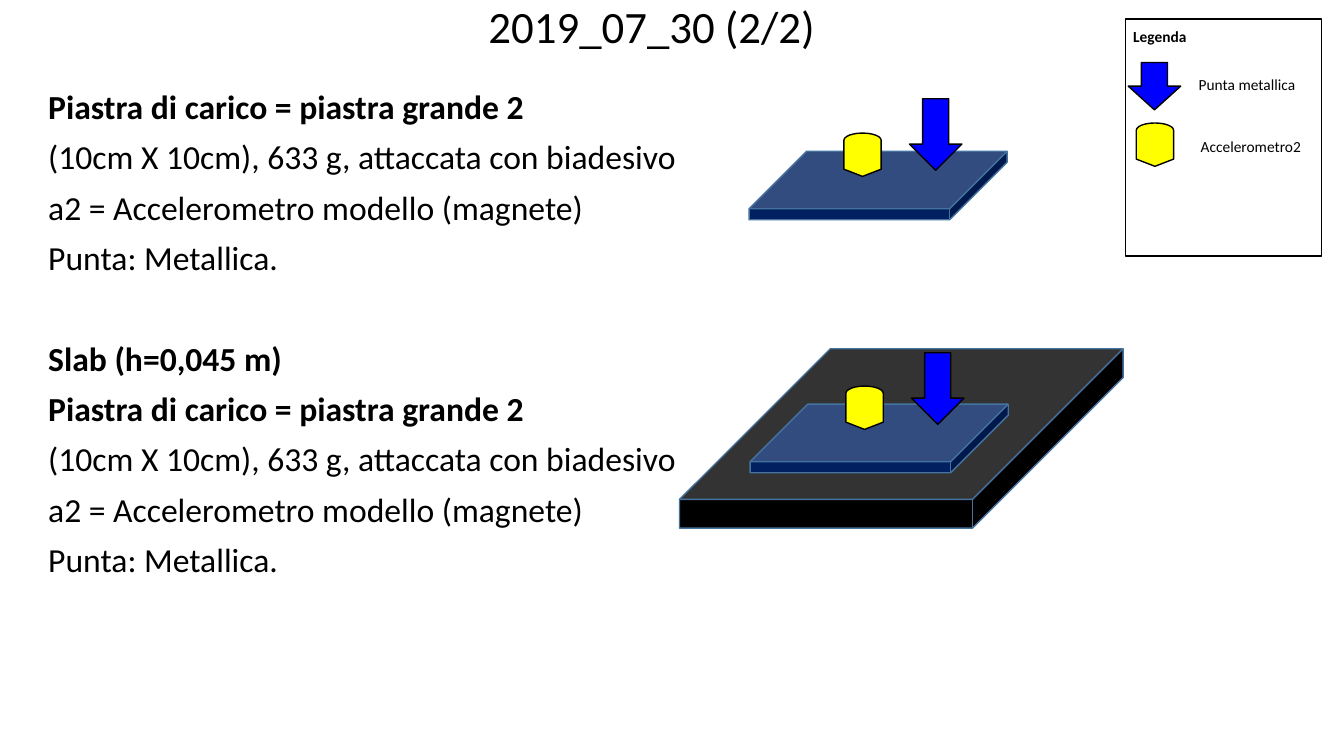
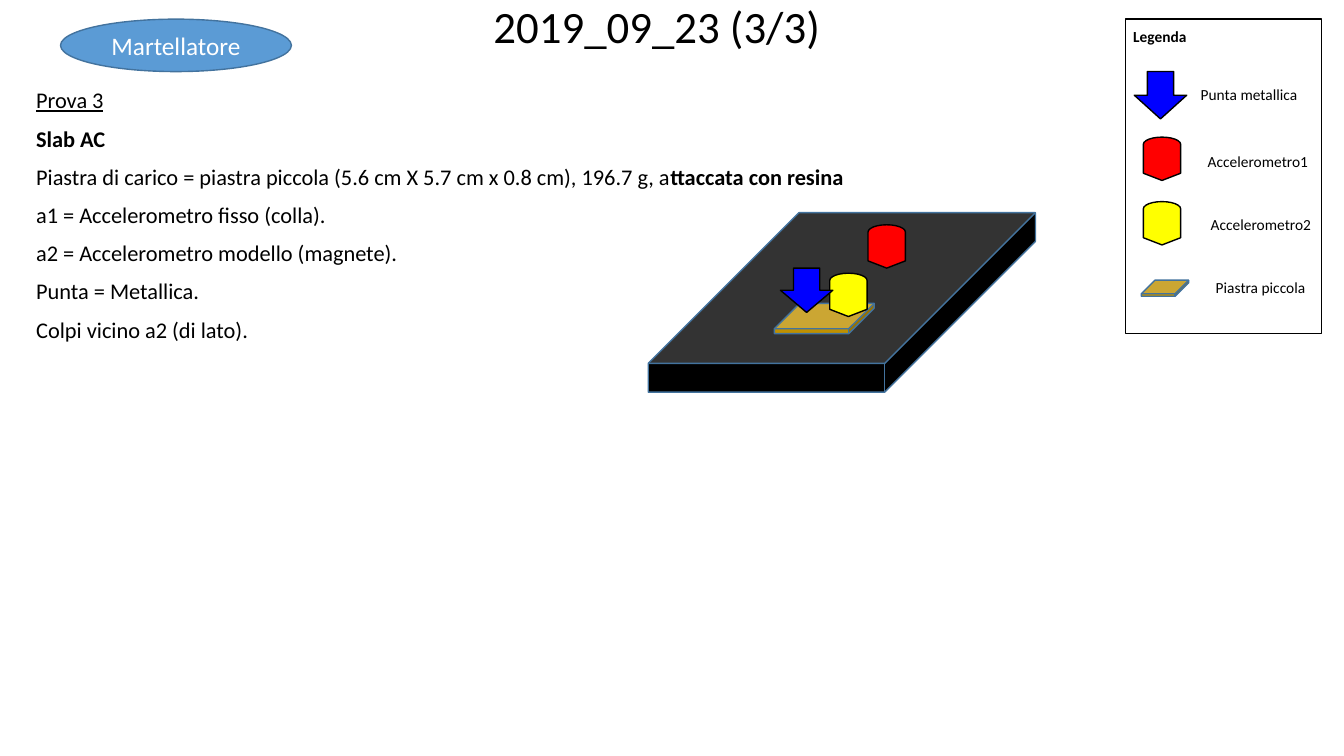
from pptx import Presentation
from pptx.dml.color import RGBColor
from pptx.enum.shapes import MSO_SHAPE
from pptx.enum.text import MSO_ANCHOR, MSO_AUTO_SIZE, PP_ALIGN
from pptx.util import Emu, Pt

PX = 9144  # 100 px to the inch
FONT = "Calibri"
COLORS = {
    "black": "000000", "white": "FFFFFF", "edge": "43739E", "badge": "5B9BD5",
    "blue": "0000FF", "yellow": "FFFF00", "red": "FF0000",
    "navy": "002060", "gold": "BF9000",
}
ARROW, CUBE = MSO_SHAPE.DOWN_ARROW, MSO_SHAPE.CUBE
SENSOR = MSO_SHAPE.FLOWCHART_DISPLAY
CUBE_DEPTH = 0.84

# Part name: shape, fill, line
PARTS = {
    "tip": (ARROW, "blue", "black"),
    "sensor1": (SENSOR, "red", "black"),
    "sensor2": (SENSOR, "yellow", "black"),
    "slab": (CUBE, "black", "edge"),
    "large plate": (CUBE, "navy", "edge"),
    "small plate": (CUBE, "gold", "edge"),
}

# Content: a text line is (text, style) with an optional bold ending;
# a part is (name, box); a legend entry is (part, label, label left and top)
LARGE_PLATE = [
    ("Piastra di carico = piastra grande 2", "bold"),
    ("(10cm X 10cm), 633 g, attaccata con biadesivo", ""),
    ("a2 = Accelerometro modello (magnete)", ""),
    ("Punta: Metallica.", ""),
]
SLIDES = [
    {
        "title": "2019_07_30 (2/2)", "title_width": 1293,
        "body": (38, 85), "size": 24,
        "text": LARGE_PLATE + [("Slab (h=0,045 m)", "bold section")] + LARGE_PLATE,
        "legend_height": 235,
        "legend": [
            (("tip", (1119, 62, 52, 47)), "Punta metallica", (1179, 70)),
            (("sensor2", (1124, 125, 43, 37)), "Accelerometro2", (1181, 131)),
        ],
        "scene": [
            ("large plate", (743, 150, 256, 68)),
            ("tip", (902, 98, 52, 71)),
            ("sensor2", (834, 135, 43, 37)),
            ("slab", (674, 346, 440, 178)),
            ("large plate", (744, 401, 256, 68)),
            ("tip", (904, 350, 52, 71)),
            ("sensor2", (836, 386, 43, 37)),
        ],
    },
    {
        "title": "2019_09_23 (3/3)", "title_width": 1303,
        "badge": "Martellatore",
        "body": (26, 84), "size": 16,
        "text": [
            ("Prova 3", "underline"),
            ("Slab AC", "bold"),
            ("Piastra di carico = piastra piccola (5.6 cm X 5.7 cm x 0.8 cm), 196.7 g, a",
             "", "ttaccata con resina"),
            ("a1 = Accelerometro fisso (colla).", ""),
            ("a2 = Accelerometro modello (magnete).", ""),
            ("Punta = Metallica.", ""),
            ("Colpi vicino a2 (di lato).", ""),
        ],
        "legend_height": 312,
        "legend": [
            (("tip", (1125, 71, 52, 47)), "Punta metallica", (1181, 80)),
            (("sensor1", (1131, 139, 43, 37)), "Accelerometro1", (1188, 146)),
            (("sensor2", (1131, 203, 43, 37)), "Accelerometro2", (1191, 208)),
            (("small plate", (1132, 278, 47, 16)), "Piastra piccola", (1196, 271)),
        ],
        "scene": [
            ("slab", (643, 211, 384, 178)),
            ("small plate", (768, 301, 99, 30)),
            ("sensor2", (820, 274, 43, 37)),
            ("tip", (774, 266, 52, 44)),
            ("sensor1", (858, 226, 43, 37)),
        ],
    },
]


def emu(box):
    return [Emu(v * PX) for v in box]


def rgb(name):
    return RGBColor.from_string(COLORS[name])


def set_font(p, size, color="black", bold=False, underline=False):
    f = p.font
    f.name, f.size, f.bold, f.underline = FONT, Pt(size), bold, underline
    f.color.rgb = rgb(color)


def add_shape(s, kind, box, fill, line):
    sp = s.shapes.add_shape(kind, *emu(box))
    sp.shadow.inherit = False
    if fill:
        sp.fill.solid()
        sp.fill.fore_color.rgb = rgb(fill)
    else:
        sp.fill.background()
    sp.line.color.rgb = rgb(line)
    sp.line.width = Pt(1)
    return sp


def add_part(s, name, box):
    kind, fill, line = PARTS[name]
    sp = add_shape(s, kind, box, fill, line)
    if kind == CUBE:
        sp.adjustments[0] = CUBE_DEPTH
    elif kind == SENSOR:
        sp.rotation = 270


def add_text_box(s, box):
    tf = s.shapes.add_textbox(*emu(box)).text_frame
    tf.word_wrap = True
    return tf


def add_label(s, text, left, top, bold=False):
    p = add_text_box(s, (left, top, 130, 29)).paragraphs[0]
    p.text = text
    set_font(p, 11, bold=bold)


def add_title(s, text, width):
    sp = s.shapes.title
    sp.left, sp.top, sp.width, sp.height = emu((0, 0, width, 85))
    tf = sp.text_frame
    tf.auto_size = MSO_AUTO_SIZE.NONE
    tf.vertical_anchor = MSO_ANCHOR.TOP
    p = tf.paragraphs[0]
    p.text = text
    p.alignment = PP_ALIGN.CENTER
    p.line_spacing = 0.9
    set_font(p, 32)


def add_badge(s, text):
    sp = add_shape(s, MSO_SHAPE.OVAL, (60, 19, 229, 52), "badge", "edge")
    tf = sp.text_frame
    tf.vertical_anchor = MSO_ANCHOR.MIDDLE
    p = tf.paragraphs[0]
    p.text = text
    p.alignment = PP_ALIGN.CENTER
    set_font(p, 18, "white")


def add_body(s, lines, left_top, size):
    tf = add_text_box(s, (*left_top, 1259, 652))
    for i, (text, style, *bold_end) in enumerate(lines):
        p = tf.add_paragraph() if i else tf.paragraphs[0]
        p.line_spacing = 0.9
        if i:
            p.space_before = Pt(46 if "section" in style else 10)
        set_font(p, size, bold="bold" in style, underline="underline" in style)
        p.add_run().text = text
        for end in bold_end:
            r = p.add_run()
            r.text = end
            r.font.bold = True


def add_legend(s, entries, height):
    add_shape(s, MSO_SHAPE.RECTANGLE, (1116, 19, 195, height), None, "black")
    add_label(s, "Legenda", 1114, 22, bold=True)
    for part, label, left_top in entries:
        add_part(s, *part)
        add_label(s, label, *left_top)


def main():
    prs = Presentation()
    prs.slide_width, prs.slide_height = emu((1333, 750))
    title_only = prs.slide_layouts[5]
    for data in SLIDES:
        s = prs.slides.add_slide(title_only)
        add_title(s, data["title"], data["title_width"])
        if "badge" in data:
            add_badge(s, data["badge"])
        add_body(s, data["text"], data["body"], data["size"])
        add_legend(s, data["legend"], data["legend_height"])
        for part in data["scene"]:
            add_part(s, *part)
    prs.save("out.pptx")


if __name__ == "__main__":
    main()
